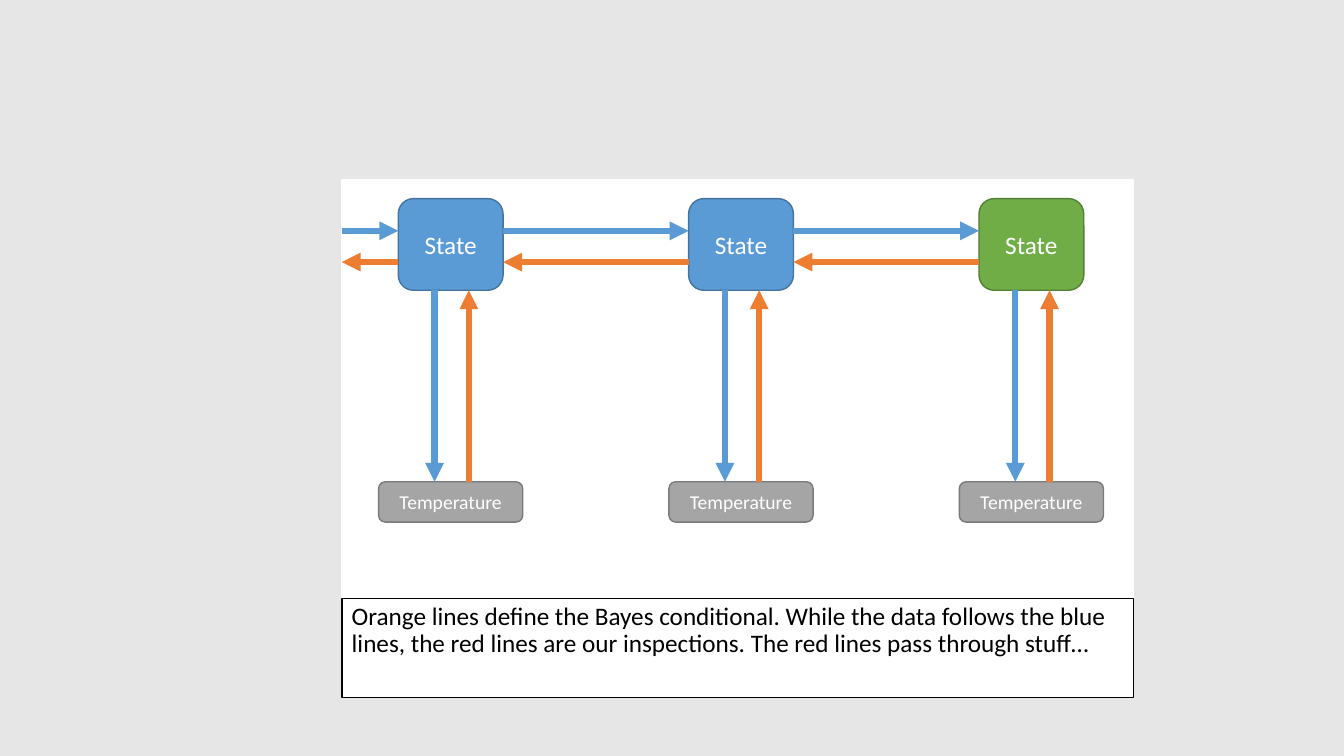
from dataclasses import dataclass

from lxml import etree
from pptx import Presentation
from pptx.dml.color import RGBColor
from pptx.enum.shapes import MSO_CONNECTOR, MSO_SHAPE
from pptx.enum.text import MSO_ANCHOR, PP_ALIGN
from pptx.oxml.ns import qn
from pptx.util import Inches, Pt

RECTANGLE = MSO_SHAPE.RECTANGLE
ROUNDED = MSO_SHAPE.ROUNDED_RECTANGLE
STRAIGHT = MSO_CONNECTOR.STRAIGHT
TOP, MIDDLE = MSO_ANCHOR.TOP, MSO_ANCHOR.MIDDLE
LEFT, CENTER = PP_ALIGN.LEFT, PP_ALIGN.CENTER


@dataclass(frozen=True)
class Theme:
    """Colours, font and type sizes of the slide."""

    background: str = "E6E6E6"
    white: str = "FFFFFF"
    black: str = "000000"
    blue: str = "5B9BD5"
    blue_edge: str = "43739E"
    green: str = "70AD47"
    green_edge: str = "538035"
    gray: str = "A5A5A5"
    gray_edge: str = "7A7A7A"
    orange: str = "ED7D31"
    font: str = "Calibri"
    large: int = 18
    small: int = 14
    edge_width: int = 1
    arrow_width: float = 4.5


THEME = Theme()
PANEL_LEFT, PANEL_WIDTH = 3.39, 7.85
PANEL_TOP, PANEL_HEIGHT = 1.78, 4.16
CAPTION_HEIGHT = 0.98
FIRST_STATE_LEFT, COLUMN_STEP = 3.95, 2.88
STATE_TOP, STATE_WIDTH, STATE_HEIGHT = 1.97, 1.04, 0.91
TEMPERATURE_TOP, TEMPERATURE_WIDTH, TEMPERATURE_HEIGHT = 4.78, 1.43, 0.4
DATA_ROW, INSPECTION_ROW = 2.29, 2.6
DATA_OFFSET, INSPECTION_OFFSET = 0.36, 0.7
STATE_COLORS = (
    (THEME.blue, THEME.blue_edge),
    (THEME.blue, THEME.blue_edge),
    (THEME.green, THEME.green_edge),
)
CAPTION = (
    "Orange lines define the Bayes conditional. While the data follows the blue "
    "lines, the red lines are our inspections. The red lines pass through stuff…"
)


def add_box(slide, kind, bounds, fill, edge):
    """Add a filled and outlined preset shape."""
    shape = slide.shapes.add_shape(kind, *map(Inches, bounds))
    shape.shadow.inherit = False
    shape.fill.solid()
    shape.fill.fore_color.rgb = RGBColor.from_string(fill)
    shape.line.color.rgb = RGBColor.from_string(edge)
    shape.line.width = Pt(THEME.edge_width)
    return shape


def write_text(shape, text, size, color, alignment=CENTER, anchor=MIDDLE):
    """Write one formatted paragraph into a shape and return it."""
    frame = shape.text_frame
    frame.text = text
    frame.word_wrap = True
    frame.vertical_anchor = anchor
    paragraph = frame.paragraphs[0]
    paragraph.alignment = alignment
    font = paragraph.runs[0].font
    font.name = THEME.font
    font.size = Pt(size)
    font.color.rgb = RGBColor.from_string(color)
    return paragraph


def add_arrow(slide, start, end, color):
    """Add a straight arrow that points at its end."""
    connector = slide.shapes.add_connector(STRAIGHT, *map(Inches, start + end))
    connector.line.color.rgb = RGBColor.from_string(color)
    connector.line.width = Pt(THEME.arrow_width)
    etree.SubElement(connector.line._get_or_add_ln(), qn("a:tailEnd"), type="triangle")
    etree.SubElement(connector._element.spPr, qn("a:effectLst"))


def add_panel(slide):
    """Add the diagram panel and the caption beneath it."""
    bounds = (PANEL_LEFT, PANEL_TOP, PANEL_WIDTH, PANEL_HEIGHT)
    add_box(slide, RECTANGLE, bounds, THEME.white, THEME.white)
    bounds = (PANEL_LEFT, PANEL_TOP + PANEL_HEIGHT, PANEL_WIDTH, CAPTION_HEIGHT)
    caption = add_box(slide, RECTANGLE, bounds, THEME.white, THEME.black)
    paragraph = write_text(caption, CAPTION, THEME.large, THEME.black, LEFT, TOP)
    paragraph.line_spacing = 0.9
    paragraph.space_before = Pt(10)


def add_nodes(slide, left, fill, edge):
    """Add a state and the temperature centred below it."""
    bounds = (left, STATE_TOP, STATE_WIDTH, STATE_HEIGHT)
    state = add_box(slide, ROUNDED, bounds, fill, edge)
    write_text(state, "State", THEME.large, THEME.white)
    temperature_left = left + (STATE_WIDTH - TEMPERATURE_WIDTH) / 2
    bounds = (temperature_left, TEMPERATURE_TOP, TEMPERATURE_WIDTH, TEMPERATURE_HEIGHT)
    temperature = add_box(slide, ROUNDED, bounds, THEME.gray, THEME.gray_edge)
    write_text(temperature, "Temperature", THEME.small, THEME.white)


def add_flows(slide, previous_right, left):
    """Add the data and inspection arrows of one state."""
    state_bottom = STATE_TOP + STATE_HEIGHT
    data_x, inspection_x = left + DATA_OFFSET, left + INSPECTION_OFFSET
    add_arrow(slide, (data_x, state_bottom), (data_x, TEMPERATURE_TOP), THEME.blue)
    add_arrow(slide, (previous_right, DATA_ROW), (left, DATA_ROW), THEME.blue)
    add_arrow(slide, (inspection_x, TEMPERATURE_TOP), (inspection_x, state_bottom), THEME.orange)
    add_arrow(slide, (left, INSPECTION_ROW), (previous_right, INSPECTION_ROW), THEME.orange)


def main():
    """Build and save the state diagram slide."""
    presentation = Presentation()
    presentation.slide_width = Inches(13.33)
    presentation.slide_height = Inches(7.5)
    slide = presentation.slides.add_slide(presentation.slide_layouts[6])
    slide.background.fill.solid()
    slide.background.fill.fore_color.rgb = RGBColor.from_string(THEME.background)
    add_panel(slide)
    previous_right = PANEL_LEFT
    for column, (fill, edge) in enumerate(STATE_COLORS):
        left = FIRST_STATE_LEFT + column * COLUMN_STEP
        add_nodes(slide, left, fill, edge)
        add_flows(slide, previous_right, left)
        previous_right = left + STATE_WIDTH
    presentation.save("out.pptx")


main()
